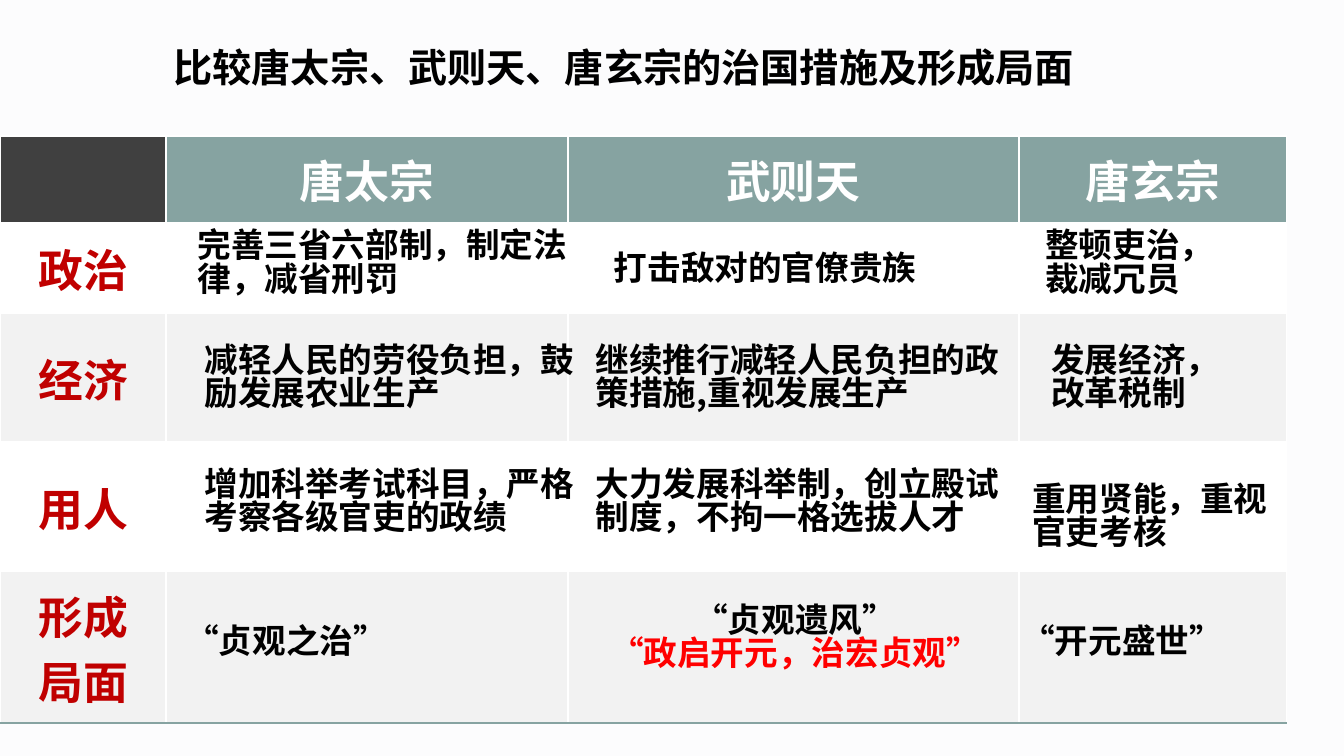
from dataclasses import dataclass

from lxml import etree
from pptx import Presentation
from pptx.dml.color import RGBColor
from pptx.enum.text import MSO_ANCHOR, PP_ALIGN
from pptx.oxml.ns import qn
from pptx.util import Inches, Pt

LEFT, CENTER = PP_ALIGN.LEFT, PP_ALIGN.CENTER
TOP, MIDDLE = MSO_ANCHOR.TOP, MSO_ANCHOR.MIDDLE
FONT = "Noto Sans CJK SC"
BLACK, WHITE, RED, DARK_RED = "000000", "FFFFFF", "FF0000", "C00000"
TEAL, CHARCOAL, PALE = "86A3A1", "404040", "F2F2F2"
TIGHT = 0.83

TITLE = "比较唐太宗、武则天、唐玄宗的治国措施及形成局面"
RULERS = ["", "唐太宗", "武则天", "唐玄宗"]
TOPICS = ["政治", "经济", "用人", "形成\n局面"]
COLUMN_WIDTHS = [1.65, 3.98, 4.48, 2.65]
ROW_HEIGHTS = [0.86, 0.9, 1.27, 1.29, 1.5]


@dataclass
class Measure:
    left: float
    top: float
    width: float
    height: float
    lines: list[str]
    align: PP_ALIGN = LEFT
    colors: tuple[str, ...] = (BLACK,)


MEASURES = [
    Measure(1.86, 2.24, 3.89, 0.91, ["完善三省六部制，制定法律，减省刑罚"]),
    Measure(5.99, 2.47, 3.89, 0.5, ["打击敌对的官僚贵族"]),
    Measure(10.27, 2.24, 2.13, 0.91, ["整顿吏治，裁减冗员"]),
    Measure(1.93, 3.38, 3.89, 0.91, ["减轻人民的劳役负担，鼓励发展农业生产"]),
    Measure(5.81, 3.38, 4.51, 0.91, ["继续推行减轻人民负担的政策措施,重视发展生产"]),
    Measure(10.33, 3.38, 2.13, 0.91, ["发展经济，改革税制"]),
    Measure(1.93, 4.61, 3.89, 0.91, ["增加科举考试科目，严格考察各级官吏的政绩"]),
    Measure(5.81, 4.61, 4.51, 0.91, ["大力发展科举制，创立殿试制度，不拘一格选拔人才"]),
    Measure(10.14, 4.76, 2.61, 0.91, ["重用贤能，重视官吏考核"]),
    Measure(1.74, 6.17, 3.89, 0.5, ["“贞观之治”"]),
    Measure(5.63, 5.96, 4.51, 1.11, ["“贞观遗风”", "“政启开元，治宏贞观”"], CENTER, (BLACK, RED)),
    Measure(10.03, 6.17, 2.61, 0.5, ["“开元盛世”"]),
]


def rgb(color: str) -> RGBColor:
    return RGBColor.from_string(color)


def format_paragraph(paragraph, size: float, color: str, align: PP_ALIGN, spacing: float = 1.0) -> None:
    paragraph.alignment = align
    paragraph.line_spacing = spacing
    paragraph.space_before = Pt(0)
    font = paragraph.font
    font.size, font.bold, font.name = Pt(size), True, FONT
    font.color.rgb = rgb(color)
    defaults = paragraph._p.pPr.find(qn("a:defRPr"))
    etree.SubElement(defaults, qn("a:ea")).set("typeface", FONT)


def add_borders(cell, borders: dict[str, str]) -> None:
    """Draw the given sides, listed in the order lnL, lnR, lnB, ahead of the fill."""
    properties = cell._tc.get_or_add_tcPr()
    for position, (side, color) in enumerate(borders.items()):
        line = etree.Element(qn(f"a:{side}"), w=str(Pt(1.5)))
        fill = etree.SubElement(line, qn("a:solidFill"))
        etree.SubElement(fill, qn("a:srgbClr"), val=color)
        properties.insert(position, line)


def format_cell(cell, text: str, fill: str, color: str, borders: dict[str, str]) -> None:
    cell.fill.solid()
    cell.fill.fore_color.rgb = rgb(fill)
    add_borders(cell, borders)
    cell.vertical_anchor = MIDDLE
    cell.margin_left = cell.margin_right = Inches(0.13)
    cell.margin_top = cell.margin_bottom = Inches(0.07)
    if text:
        cell.text = text
        for paragraph in cell.text_frame.paragraphs:
            format_paragraph(paragraph, 32, color, CENTER)


def add_comparison_table(slide) -> None:
    table = slide.shapes.add_table(
        len(ROW_HEIGHTS), len(COLUMN_WIDTHS), Inches(0), Inches(1.35),
        Inches(sum(COLUMN_WIDTHS)), Inches(sum(ROW_HEIGHTS))).table
    table.first_row = table.horz_banding = False
    for column, width in zip(table.columns, COLUMN_WIDTHS):
        column.width = Inches(width)
    for row, height in zip(table.rows, ROW_HEIGHTS):
        row.height = Inches(height)

    sides = {"lnL": WHITE, "lnR": WHITE}
    for c, ruler in enumerate(RULERS):
        format_cell(table.cell(0, c), ruler, TEAL if ruler else CHARCOAL, WHITE, sides)
    for r, topic in enumerate(TOPICS, start=1):
        borders = sides | {"lnB": TEAL} if r == len(TOPICS) else sides
        for c in range(len(RULERS)):
            format_cell(table.cell(r, c), "" if c else topic,
                        WHITE if r % 2 else PALE, DARK_RED, borders)


def add_measure(slide, measure: Measure) -> None:
    frame = slide.shapes.add_textbox(
        Inches(measure.left), Inches(measure.top),
        Inches(measure.width), Inches(measure.height)).text_frame
    frame.word_wrap = True
    frame.text = "\n".join(measure.lines)
    for paragraph, color in zip(frame.paragraphs, measure.colors):
        format_paragraph(paragraph, 24, color, measure.align, TIGHT)


def add_title(slide) -> None:
    title = slide.shapes.title
    title.left, title.top = Inches(1.62), Inches(0.46)
    title.width, title.height = Inches(10.5), Inches(0.57)
    title.text_frame.text = TITLE
    title.text_frame.vertical_anchor = TOP
    format_paragraph(title.text_frame.paragraphs[0], 28, BLACK, LEFT, TIGHT)


def main() -> None:
    deck = Presentation()
    deck.slide_width, deck.slide_height = Inches(13.33), Inches(7.5)
    slide = deck.slides.add_slide(deck.slide_layouts[5])
    slide.background.fill.solid()
    slide.background.fill.fore_color.rgb = rgb("FCFCFD")
    add_title(slide)
    add_comparison_table(slide)
    for measure in MEASURES:
        add_measure(slide, measure)
    deck.save("out.pptx")


if __name__ == "__main__":
    main()
